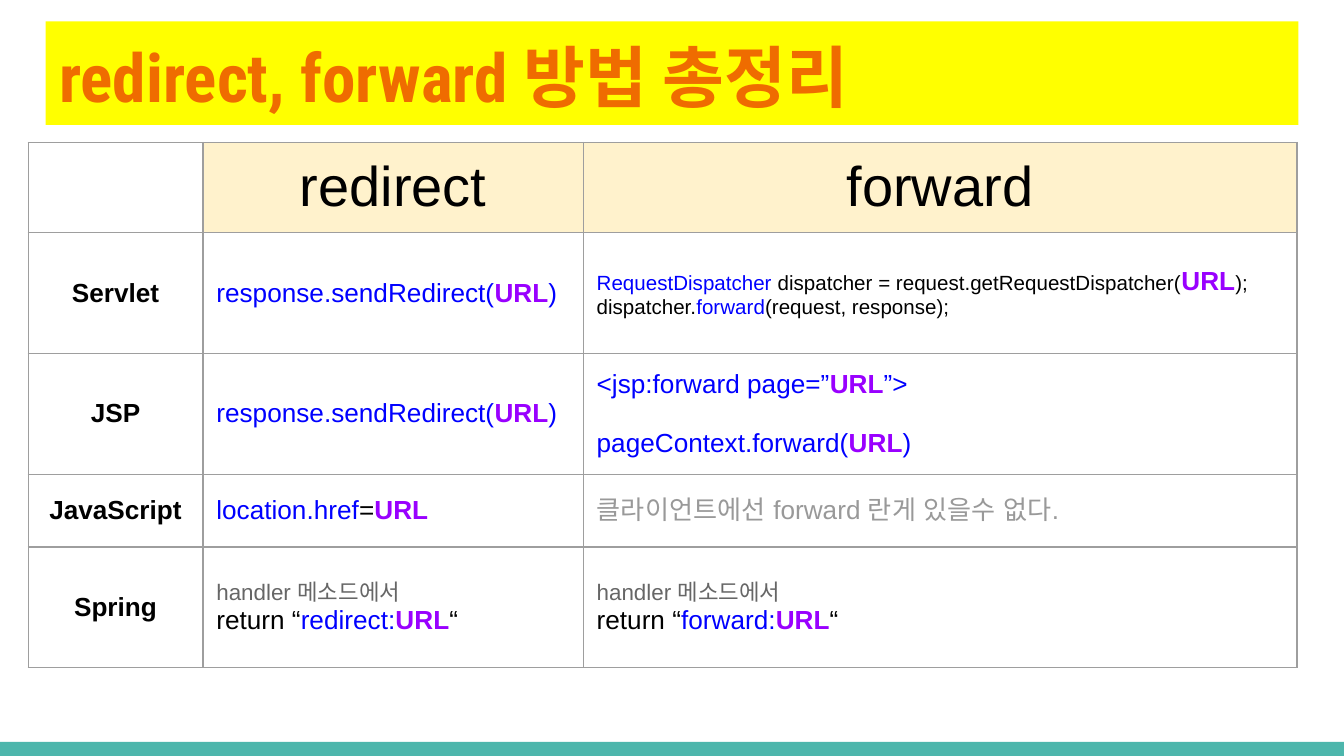
from lxml import etree
from pptx import Presentation
from pptx.dml.color import RGBColor
from pptx.enum.shapes import MSO_SHAPE
from pptx.enum.text import MSO_ANCHOR, MSO_AUTO_SIZE, PP_ALIGN
from pptx.oxml.ns import qn
from pptx.util import Inches, Pt

RECTANGLE = MSO_SHAPE.RECTANGLE
TOP, MIDDLE = MSO_ANCHOR.TOP, MSO_ANCHOR.MIDDLE
LEFT, CENTER = PP_ALIGN.LEFT, PP_ALIGN.CENTER
NO_AUTOFIT = MSO_AUTO_SIZE.NONE

TEAL = RGBColor(0x4D, 0xB6, 0xAC)
YELLOW = RGBColor(0xFF, 0xFF, 0x00)
ORANGE = RGBColor(0xEF, 0x6C, 0x00)
CREAM = RGBColor(0xFF, 0xF2, 0xCC)
BLACK = RGBColor(0x00, 0x00, 0x00)
BLUE = RGBColor(0x00, 0x00, 0xFF)
PURPLE = RGBColor(0x99, 0x00, 0xFF)
GRAY = RGBColor(0x99, 0x99, 0x99)
DARK_GRAY = RGBColor(0x66, 0x66, 0x66)
BORDER_GRAY = RGBColor(0x9E, 0x9E, 0x9E)


def add_run(paragraph, text, size, color, bold=False, font_name="Arial"):
    run = paragraph.add_run()
    run.text = text
    run.font.name = font_name
    run.font.size = Pt(size)
    run.font.bold = bold
    run.font.color.rgb = color
    etree.SubElement(run._r.get_or_add_rPr(), qn("a:ea"), typeface=font_name)


def add_borders(cell):
    properties = cell._tc.get_or_add_tcPr()
    for side in ("a:lnL", "a:lnR", "a:lnT", "a:lnB"):
        line = etree.SubElement(properties, qn(side), w=str(Pt(0.75)))
        fill = etree.SubElement(line, qn("a:solidFill"))
        etree.SubElement(fill, qn("a:srgbClr"), val=str(BORDER_GRAY))


presentation = Presentation()
presentation.slide_width = Inches(10)
presentation.slide_height = Inches(10) * 9 // 16
slide = presentation.slides.add_slide(presentation.slide_layouts[5])

footer_bar = slide.shapes.add_shape(
    RECTANGLE, Inches(0), Inches(5.52), Inches(10), Inches(0.11))
footer_bar.shadow.inherit = False
footer_bar.fill.solid()
footer_bar.fill.fore_color.rgb = TEAL
footer_bar.line.fill.background()

title = slide.shapes.title
title.left, title.top = Inches(0.34), Inches(0.16)
title.width, title.height = Inches(9.32), Inches(0.77)
title.fill.solid()
title.fill.fore_color.rgb = YELLOW
title_frame = title.text_frame
title_frame.auto_size = NO_AUTOFIT
title_frame.vertical_anchor = TOP
title_frame.margin_left = title_frame.margin_right = Inches(0.1)
title_frame.margin_top = title_frame.margin_bottom = Inches(0.1)
title_frame.paragraphs[0].alignment = LEFT
add_run(title_frame.paragraphs[0], "redirect, forward 방법 총정리",
        36, ORANGE, True, "Roboto Condensed")

URL = ("URL", 14, PURPLE, True)
SEND_REDIRECT = [[("response.sendRedirect(", 14, BLUE), URL, (")", 14, BLUE)]]
HANDLER = [("handler 메소드에서", 12, DARK_GRAY)]
RETURN = ("return “", 14, BLACK)
END_QUOTE = ("“", 14, BLACK)

column_widths = [1.3, 2.83, 5.31]
row_heights = [0.67, 0.9, 0.9, 0.54, 0.9]
rows = [
    ([], [[("redirect", 30, BLACK)]], [[("forward", 30, BLACK)]]),
    ([[("Servlet", 14, BLACK, True)]],
     SEND_REDIRECT,
     [[("RequestDispatcher ", 11, BLUE),
       ("dispatcher = request.getRequestDispatcher(", 11, BLACK),
       URL, (");", 11, BLACK)],
      [("dispatcher.", 11, BLACK), ("forward", 11, BLUE),
       ("(request, response);", 11, BLACK)]]),
    ([[("JSP", 14, BLACK, True)]],
     SEND_REDIRECT,
     [[("<jsp:forward page=”", 14, BLUE), URL, ("”>", 14, BLUE)],
      [("pageContext.forward(", 14, BLUE), URL, (")", 14, BLUE)]]),
    ([[("JavaScript", 14, BLACK, True)]],
     [[("location.href", 14, BLUE), ("=", 14, BLACK), URL]],
     [[("클라이언트에선 forward 란게 있을수 없다.", 14, GRAY)]]),
    ([[("Spring", 14, BLACK, True)]],
     [HANDLER, [RETURN, ("redirect:", 14, BLUE), URL, END_QUOTE]],
     [HANDLER, [RETURN, ("forward:", 14, BLUE), URL, END_QUOTE]]),
]

table = slide.shapes.add_table(
    len(rows), len(column_widths), Inches(0.21), Inches(1.06),
    Inches(sum(column_widths)), Inches(sum(row_heights))).table
table.first_row = False
table.horz_banding = False
for column, width in zip(table.columns, column_widths):
    column.width = Inches(width)
for row, height in zip(table.rows, row_heights):
    row.height = Inches(height)

for row_index, row_content in enumerate(rows):
    for column_index, lines in enumerate(row_content):
        cell = table.cell(row_index, column_index)
        is_header = row_index == 0
        add_borders(cell)
        if is_header and column_index > 0:
            cell.fill.solid()
            cell.fill.fore_color.rgb = CREAM
        else:
            cell.fill.background()
        cell.margin_left = cell.margin_right = Inches(0.1)
        cell.margin_top = cell.margin_bottom = Inches(0.1)
        cell.vertical_anchor = TOP if is_header else MIDDLE
        for line_index, runs in enumerate(lines):
            frame = cell.text_frame
            paragraph = frame.add_paragraph() if line_index else frame.paragraphs[0]
            paragraph.alignment = CENTER if is_header or column_index == 0 else LEFT
            for run_content in runs:
                add_run(paragraph, *run_content)

page_context_line = table.cell(2, 2).text_frame.paragraphs[1]
page_context_line.space_before = Pt(16)

presentation.save("out.pptx")
